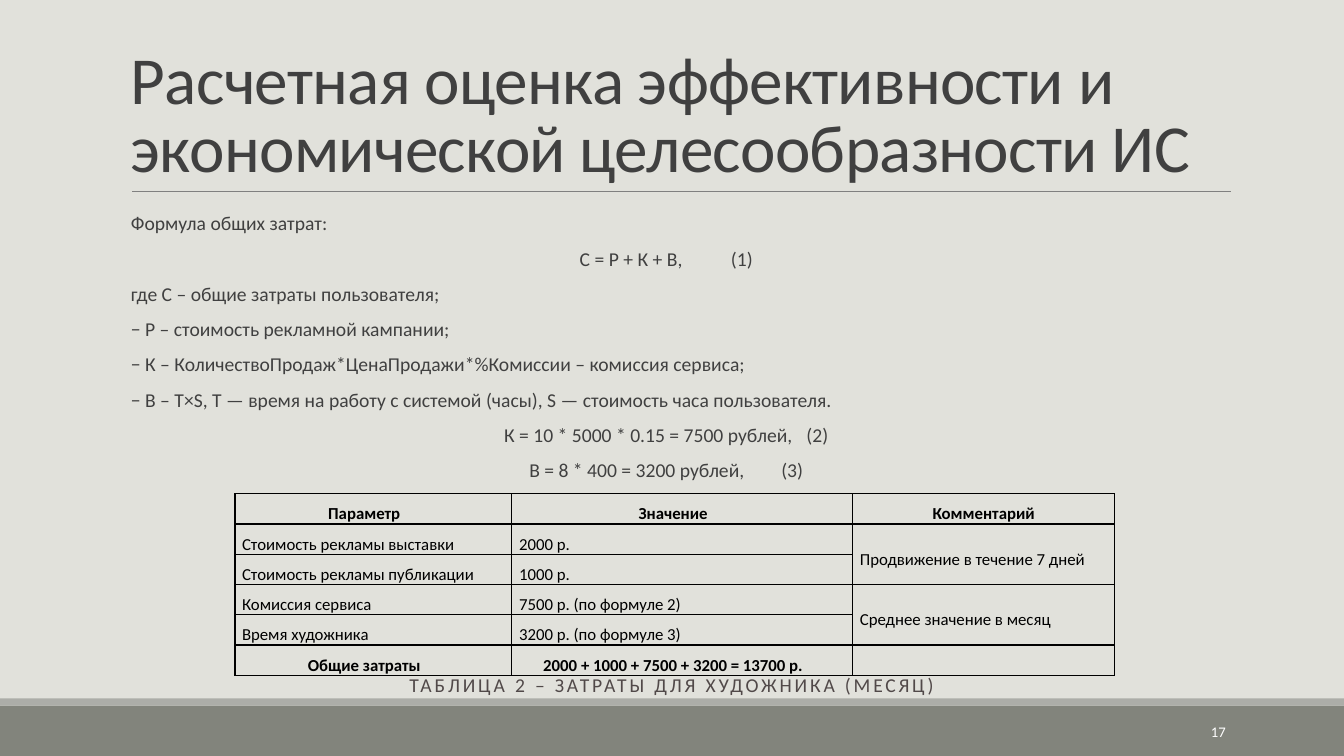
from lxml.etree import SubElement
from pptx import Presentation
from pptx.dml.color import RGBColor
from pptx.enum.shapes import MSO_CONNECTOR, MSO_SHAPE
from pptx.enum.text import MSO_ANCHOR, PP_ALIGN
from pptx.oxml import parse_xml
from pptx.oxml.ns import nsdecls, qn
from pptx.util import Cm, Pt

LEFT, CENTER, RIGHT, JUSTIFY = PP_ALIGN.LEFT, PP_ALIGN.CENTER, PP_ALIGN.RIGHT, PP_ALIGN.JUSTIFY
TOP, MIDDLE, BOTTOM = MSO_ANCHOR.TOP, MSO_ANCHOR.MIDDLE, MSO_ANCHOR.BOTTOM

EXPLANATION = [
    ("Формула общих затрат: ", JUSTIFY),
    ("С = Р + К + В, \t(1)", CENTER),
    ("где С – общие затраты пользователя; ", JUSTIFY),
    ("− Р – стоимость рекламной кампании; ", JUSTIFY),
    ("− К – КоличествоПродаж*ЦенаПродажи*%Комиссии – комиссия сервиса; ", JUSTIFY),
    ("− В – T×S, T — время на работу с системой (часы), S — стоимость часа пользователя. ", JUSTIFY),
    ("К = 10 * 5000 * 0.15 = 7500 рублей,\t(2)", CENTER),
    ("В = 8 * 400 = 3200 рублей,\t(3)", CENTER),
]

COSTS = [
    ("Параметр", "Значение", "Комментарий"),
    ("Стоимость рекламы выставки", "2000 р.", "Продвижение в течение 7 дней"),
    ("Стоимость рекламы публикации", "1000 р.", ""),
    ("Комиссия сервиса", "7500 р. (по формуле 2)", "Среднее значение в месяц"),
    ("Время художника", "3200 р. (по формуле 3)", ""),
    ("Общие затраты", "2000 + 1000 + 7500 + 3200 = 13700 р.", ""),
]


def color(value):
    return RGBColor.from_string(value)


def write(paragraph, text, size=14, fill="404040", bold=False, align=LEFT,
          line_spacing=1.5, tracking=0, left=0, right=0):
    paragraph.alignment = align
    paragraph.line_spacing = line_spacing
    properties = paragraph._p.get_or_add_pPr()
    properties.set("marL", str(Cm(left)))
    properties.set("marR", str(Cm(right)))
    properties.set("indent", "0")
    run = paragraph.add_run()
    run.text = text
    run.font.name = "Calibri"
    run.font.size = Pt(size)
    run.font.bold = bold
    run.font.color.rgb = color(fill)
    if tracking:
        run._r.get_or_add_rPr().set("spc", str(round(tracking * 100)))


def add_text(slide, box, anchor=TOP):
    frame = slide.shapes.add_textbox(*map(Cm, box)).text_frame
    frame.word_wrap = True
    frame.vertical_anchor = anchor
    return frame


def add_band(slide, top, height, fill):
    band = slide.shapes.add_shape(MSO_SHAPE.RECTANGLE, 0, Cm(top), Cm(33.87), Cm(height))
    band.shadow.inherit = False
    band.fill.solid()
    band.fill.fore_color.rgb = color(fill)
    band.line.fill.background()


def add_rule(slide, left, right, top):
    rule = slide.shapes.add_connector(
        MSO_CONNECTOR.STRAIGHT, Cm(left), Cm(top), Cm(right), Cm(top))
    rule.line.color.rgb = color("808080")
    rule.line.width = Pt(0.5)
    SubElement(rule._element.spPr, qn("a:effectLst"))


def add_borders(cell):
    properties = cell._tc.get_or_add_tcPr()
    for position, side in enumerate(("lnL", "lnR", "lnT", "lnB")):
        properties.insert(position, parse_xml(
            f'<a:{side} {nsdecls("a")} w="12700"><a:solidFill>'
            f'<a:srgbClr val="000000"/></a:solidFill></a:{side}>'))


def add_costs_table(slide):
    row_height = 0.61
    costs = slide.shapes.add_table(
        len(COSTS), 3, Cm(5.92), Cm(12.44), Cm(22.17), Cm(row_height * len(COSTS))).table
    for column, width in zip(costs.columns, (6.98, 8.59, 6.6)):
        column.width = Cm(width)
    for row in costs.rows:
        row.height = Cm(row_height)
    for row, values in enumerate(COSTS):
        emphasized = row in (0, len(COSTS) - 1)
        for column, value in enumerate(values):
            cell = costs.cell(row, column)
            cell.fill.background()
            cell.margin_left = cell.margin_right = Cm(0.18)
            cell.margin_top = cell.margin_bottom = 0
            cell.vertical_anchor = MIDDLE if column == 2 and not emphasized else TOP
            write(cell.text_frame.paragraphs[0], value, size=12, fill="000000",
                  bold=emphasized, align=CENTER if emphasized else JUSTIFY,
                  right=0.46 if emphasized and column < 2 else 0)
            add_borders(cell)
    for row in (1, 3):
        costs.cell(row, 2).merge(costs.cell(row + 1, 2))


def main():
    deck = Presentation()
    deck.slide_width, deck.slide_height = Cm(33.87), Cm(19.05)
    slide = deck.slides.add_slide(deck.slide_layouts[6])
    slide.background.fill.solid()
    slide.background.fill.fore_color.rgb = color("E1E1DB")

    add_band(slide, 17.78, 1.27, "82847C")
    add_band(slide, 17.6, 0.18, "ACADA8")
    add_rule(slide, 3.33, 31.01, 4.83)

    title = add_text(slide, (3.05, 0.79, 27.94, 4.04), BOTTOM)
    write(title.paragraphs[0],
          "Расчетная оценка эффективности и экономической целесообразности ИС",
          size=48, line_spacing=0.85, tracking=-0.5)

    page_number = add_text(slide, (27.51, 17.93, 3.63, 1.02), MIDDLE)
    write(page_number.paragraphs[0], "17", size=10.5, fill="FFFFFF",
          align=RIGHT, line_spacing=1.0)

    add_costs_table(slide)

    explanation = add_text(slide, (3.05, 4.9, 27.94, 7.34))
    for index, (text, align) in enumerate(EXPLANATION):
        paragraph = explanation.add_paragraph() if index else explanation.paragraphs[0]
        write(paragraph, text, align=align, right=0.46 if align == CENTER else 0)

    caption = add_text(slide, (7.29, 16.54, 19.28, 1.07))
    write(caption.paragraphs[0], "ТАБЛИЦА 2 – ЗАТРАТЫ ДЛЯ ХУДОЖНИКА (МЕСЯЦ)",
          fill="514949", align=CENTER, tracking=2, left=0.5, right=0.5)

    deck.save("out.pptx")


if __name__ == "__main__":
    main()
